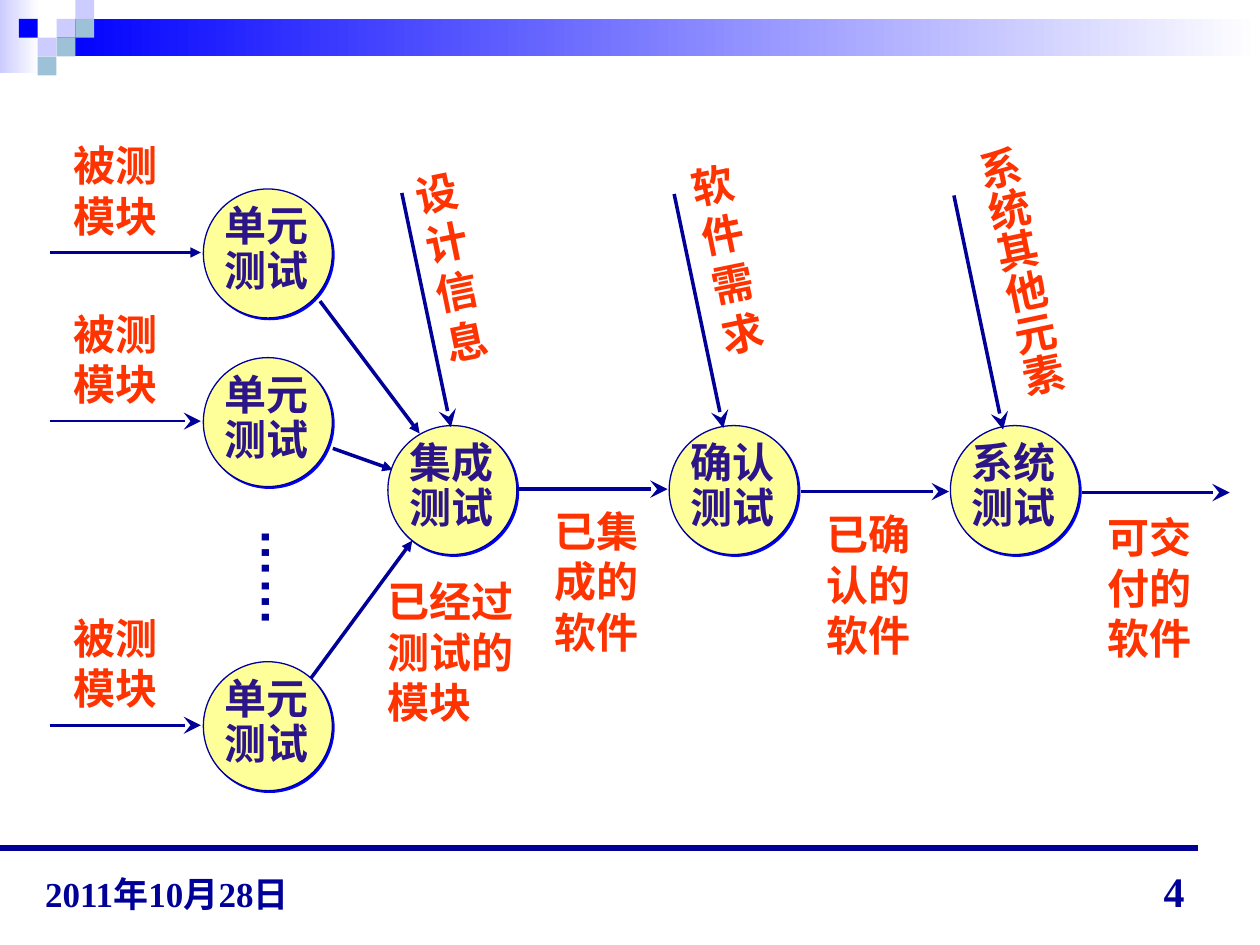
from dataclasses import dataclass

from lxml.etree import SubElement
from pptx import Presentation
from pptx.dml.color import RGBColor
from pptx.enum.shapes import MSO_CONNECTOR, MSO_SHAPE
from pptx.enum.text import MSO_ANCHOR, MSO_AUTO_SIZE, PP_ALIGN
from pptx.oxml.ns import qn
from pptx.util import Cm, Pt


@dataclass(frozen=True)
class Theme:
    navy: str = "000099"
    blue: str = "0000FF"
    lilac: str = "CCCCFF"
    teal: str = "9DC2D7"
    white: str = "FFFFFF"
    yellow: str = "FFFF99"
    red: str = "FF3300"
    indigo: str = "2C1588"
    body_font: str = "Times New Roman"
    dots_font: str = "Arial"
    body_size: int = 24
    dots_size: int = 28
    date_size: int = 20


class Diagram:
    def __init__(self, slide, theme):
        self.slide = slide
        self.theme = theme

    def shape(self, kind, left, top, width, height):
        shape = self.slide.shapes.add_shape(
            kind, Cm(left), Cm(top), Cm(width), Cm(height))
        shape.shadow.inherit = False
        shape.line.fill.background()
        return shape

    def block(self, left, top, width, height, color):
        block = self.shape(MSO_SHAPE.RECTANGLE, left, top, width, height)
        block.fill.solid()
        block.fill.fore_color.rgb = RGBColor.from_string(color)

    def fade(self, left, top, width, height, color):
        """Rectangle that runs from a colour on the left to white."""
        bar = self.shape(MSO_SHAPE.RECTANGLE, left, top, width, height)
        bar.fill.gradient()
        bar.fill.gradient_angle = 0
        for stop, stop_color in zip(bar.fill.gradient_stops,
                                    (color, self.theme.white)):
            stop.color.rgb = RGBColor.from_string(stop_color)

    def line(self, start, end, width=2.0, head=None, head_size="med"):
        line = self.slide.shapes.add_connector(
            MSO_CONNECTOR.STRAIGHT, *map(Cm, (*start, *end)))
        line.line.width = Pt(width)
        line.line.color.rgb = RGBColor.from_string(self.theme.navy)
        if head:
            SubElement(line.line._get_or_add_ln(), qn("a:tailEnd"),
                       type=head, w=head_size, len=head_size)
        SubElement(line._element.spPr, qn("a:effectLst"))

    def stealth(self, start, end, width=2.0):
        self.line(start, end, width, "stealth", "lg")

    def text(self, lines, left, top, width, height, color, size=None,
             font=None, spacing=None, align=None, anchor=MSO_ANCHOR.TOP,
             wrap=False, grow=True, rotation=0, vertical=False):
        box = self.slide.shapes.add_textbox(
            Cm(left), Cm(top), Cm(width), Cm(height))
        box.rotation = rotation
        frame = box.text_frame
        frame.word_wrap = wrap
        frame.vertical_anchor = anchor
        if grow:
            frame.auto_size = MSO_AUTO_SIZE.SHAPE_TO_FIT_TEXT
        if vertical:
            frame._txBody.bodyPr.set("vert", "eaVert")
            frame.margin_left = frame.margin_right = Cm(0.13)
            frame.margin_top = frame.margin_bottom = Cm(0.25)
        for index, words in enumerate(lines):
            paragraph = frame.add_paragraph() if index else frame.paragraphs[0]
            paragraph.line_spacing = spacing
            paragraph.alignment = align
            run = paragraph.add_run()
            run.text = words
            run.font.name = font or self.theme.body_font
            run.font.size = Pt(size or self.theme.body_size)
            run.font.bold = True
            run.font.color.rgb = RGBColor.from_string(color)

    def label(self, lines, left, top, width=2.25):
        self.text(lines, left, top, width, 0.25 + 1.02 * len(lines),
                  self.theme.red)

    def stage(self, name, left, top):
        """Test stage: a shadowed circle with its name over 测试."""
        circle = self.shape(MSO_SHAPE.OVAL, left, top, 2.6, 2.6)
        circle.fill.solid()
        circle.fill.fore_color.rgb = RGBColor.from_string(self.theme.yellow)
        circle.line.width = Pt(0.75)
        circle.line.color.rgb = RGBColor.from_string(self.theme.navy)
        effects = circle._element.spPr.find(qn("a:effectLst"))
        shadow = SubElement(effects, qn("a:outerShdw"), blurRad="0",
                            dist=str(Pt(1.4)), dir=str(45 * 60000),
                            algn="ctr", rotWithShape="0")
        SubElement(shadow, qn("a:srgbClr"), val=self.theme.blue)
        self.text([name, "测试"], left + 0.18, top + 0.2, 2.25, 2.08,
                  self.theme.indigo, spacing=0.9)


def draw_header(diagram):
    theme = diagram.theme
    tile = 0.38
    diagram.fade(0, 0, 0.79, 1.47, theme.lilac)
    diagram.fade(3 * tile, tile, 24.26, 2 * tile, theme.blue)
    tiles = {
        theme.lilac: [(3, 1), (4, 0), (2, 2)],
        theme.teal: [(4, 1), (3, 2), (2, 3)],
        theme.blue: [(1, 1)],
    }
    for color, cells in tiles.items():
        for column, row in cells:
            diagram.block(column * tile, row * tile, tile, tile, color)


def draw_unit_tests(diagram):
    theme = diagram.theme
    for top, head, head_size in ((3.81, "triangle", "med"),
                                 (7.21, "stealth", "lg"),
                                 (13.34, "stealth", "lg")):
        diagram.label(["被测", "模块"], 1.24, top - 1.12)
        diagram.line((1, top + 1.28), (4.05, top + 1.28), 1.5, head, head_size)
        diagram.stage("单元", 4.1, top)
    diagram.text(["……"], 3.74, 10.85, 2.6, 1.45, theme.navy,
                 size=theme.dots_size, font=theme.dots_font, rotation=270)
    for start, end in (((6.45, 6.07), (8.46, 8.74)),
                       ((6.71, 9.04), (7.92, 9.47)),
                       ((6.27, 13.67), (8.31, 10.9))):
        diagram.line(start, end, head="triangle")
    diagram.label(["已经过", "测试的", "模块"], 7.57, 11.48, 3.05)


def draw_later_tests(diagram):
    stages = (
        ("集成", ["已集", "成的", "软件"], (10.41, 13.46, 9.86), (10.92, 10.06)),
        ("确认", ["已确", "认的", "软件"], (16.15, 19.13, 9.91), (16.41, 10.13)),
        ("系统", ["可交", "付的", "软件"], (21.82, 24.79, 9.93), (22.07, 10.19)),
    )
    for index, (name, result, flow, result_at) in enumerate(stages):
        start, end, level = flow
        diagram.stage(name, 7.82 + 5.67 * index, 8.58)
        diagram.stealth((start, level), (end, level))
        diagram.label(result, *result_at)
    for left, top in ((8.1, 3.89), (13.59, 3.91), (19.23, 3.94)):
        diagram.stealth((left, top), (left + 0.99, top + 4.72))

    red = diagram.theme.red
    for words, left, top in (("设计信息", 8.43, 3.18), ("软件需求", 14, 3.02)):
        diagram.text([words], left, top, 1.68, 4.32, red,
                     wrap=True, rotation=348.4)
    diagram.text(["系统其他元素"], 19.67, 2.72, 1.52, 5.33, red,
                 rotation=348.2, vertical=True)


def draw_footer(diagram):
    theme = diagram.theme
    diagram.line((0, 17.09), (24.16, 17.09), 3.25)
    footer = dict(color=theme.navy, anchor=MSO_ANCHOR.BOTTOM,
                  wrap=True, grow=False)
    diagram.text(["4"], 18.21, 17.32, 5.92, 1.27,
                 align=PP_ALIGN.RIGHT, **footer)
    diagram.text(["2011年10月28日"], 0.66, 17.25, 6.53, 1.32,
                 size=theme.date_size, **footer)


def main():
    deck = Presentation()
    deck.slide_width, deck.slide_height = Cm(25.4), Cm(19.05)
    blank_layout = deck.slide_layouts[6]
    diagram = Diagram(deck.slides.add_slide(blank_layout), Theme())
    draw_header(diagram)
    draw_unit_tests(diagram)
    draw_later_tests(diagram)
    draw_footer(diagram)
    deck.save("out.pptx")


if __name__ == "__main__":
    main()
